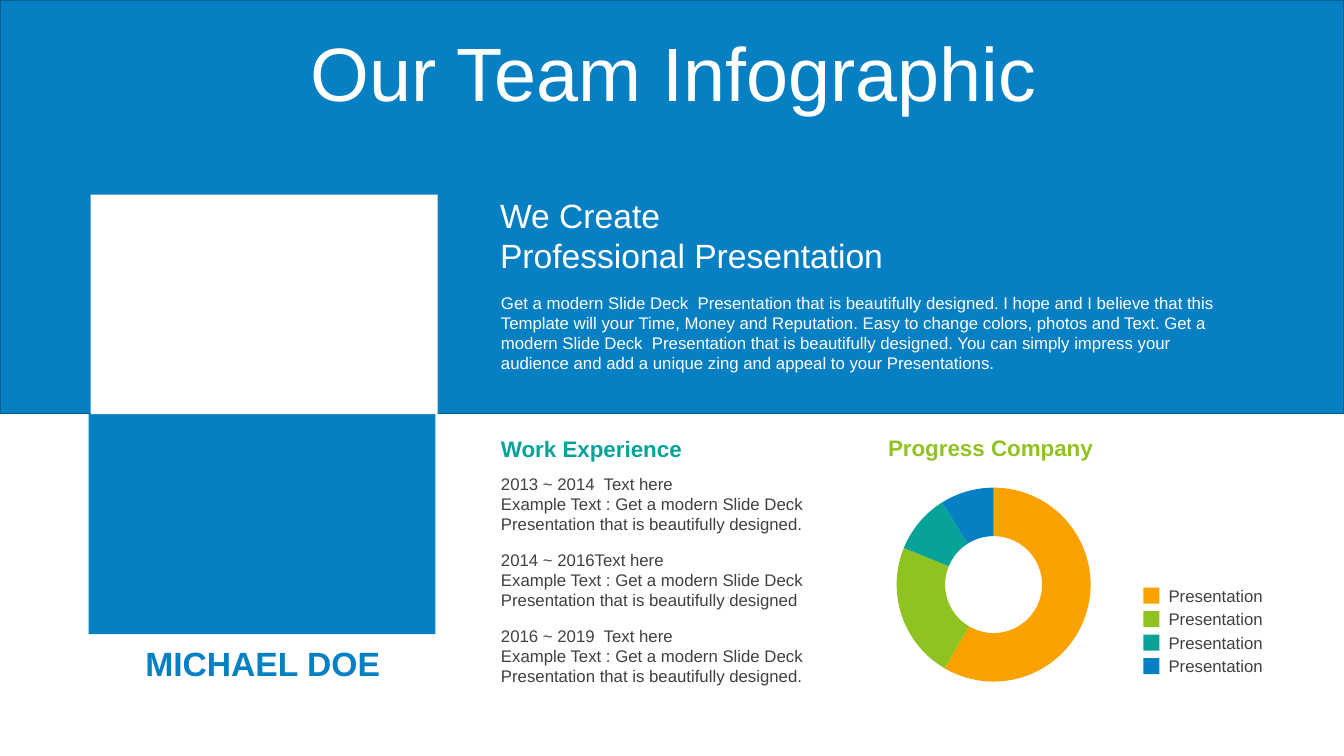
from pptx import Presentation
from pptx.chart.data import CategoryChartData
from pptx.dml.color import RGBColor
from pptx.enum.chart import XL_CHART_TYPE
from pptx.enum.shapes import MSO_SHAPE
from pptx.enum.text import MSO_ANCHOR, MSO_AUTO_SIZE, PP_ALIGN
from pptx.util import Inches, Pt

RECT = MSO_SHAPE.RECTANGLE
RING = XL_CHART_TYPE.DOUGHNUT
TOP, MIDDLE = MSO_ANCHOR.TOP, MSO_ANCHOR.MIDDLE
LEFT, CENTER = PP_ALIGN.LEFT, PP_ALIGN.CENTER
NO_FIT = MSO_AUTO_SIZE.NONE

BLUE, TEAL, GREEN, ORANGE = "0680C3", "07A398", "90C221", "FBA200"
WHITE, GREY, EDGE = "FFFFFF", "404040", "045F90"
rgb = RGBColor.from_string

prs = Presentation()
prs.slide_width, prs.slide_height = Inches(13.33), Inches(7.5)
slide = prs.slides.add_slide(prs.slide_layouts[5])
shapes = slide.shapes


def block(x, y, w, h, fill, line=None):
    box = shapes.add_shape(RECT, Inches(x), Inches(y), Inches(w), Inches(h))
    box.shadow.inherit = False
    box.fill.solid()
    box.fill.fore_color.rgb = rgb(fill)
    if line:
        box.line.color.rgb = rgb(line)
        box.line.width = Pt(1)
    else:
        box.line.fill.background()


def write(x, y, w, h, text, size, color, bold=False, align=LEFT, anchor=TOP,
          inset=(0.1, 0.05), tight=False, box=None):
    box = box or shapes.add_textbox(0, 0, 0, 0)
    box.left, box.top = Inches(x), Inches(y)
    box.width, box.height = Inches(w), Inches(h)
    frame = box.text_frame
    frame.text = text
    frame.word_wrap = True
    frame.auto_size = NO_FIT
    frame.vertical_anchor = anchor
    frame.margin_left = frame.margin_right = Inches(inset[0])
    frame.margin_top = frame.margin_bottom = Inches(inset[1])
    for para in frame.paragraphs:
        para.alignment = align
        if tight:
            para.line_spacing, para.space_before = 0.9, Pt(10)
        for run in para.runs:
            font = run.font
            font.name, font.size, font.bold = "Arial", Pt(size), bold
            font.color.rgb = rgb(color)


# Banner and photo frame
block(0.88, 4.1, 3.44, 2.19, BLUE)
block(0, 0, 13.33, 4.1, BLUE, EDGE)
block(0.9, 1.93, 3.44, 2.18, WHITE)

# Title, brought in front of the banner
title = shapes.title
title.element.getparent().append(title.element)
write(0.35, 0.37, 12.66, 0.79, "Our Team Infographic", 54, WHITE,
      align=CENTER, anchor=MIDDLE, tight=True, box=title)

# Introduction
write(4.91, 1.93, 5.82, 0.81, "We Create\nProfessional Presentation", 24, WHITE,
      inset=(0.05, 0))
intro = (
    "Get a modern Slide Deck  Presentation that is beautifully designed. "
    "I hope and I believe that this Template will your Time, Money and Reputation. "
    "Easy to change colors, photos and Text. "
    "Get a modern Slide Deck  Presentation that is beautifully designed. "
    "You can simply impress your audience and add a unique zing and appeal "
    "to your Presentations."
)
write(4.87, 2.85, 7.51, 0.91, intro, 12, WHITE)

# Name and headings
write(0.99, 6.37, 3.23, 0.47, "MICHAEL DOE", 24, BLUE, bold=True,
      align=CENTER, anchor=MIDDLE, tight=True)
write(4.87, 4.29, 2.76, 0.31, "Work Experience", 16, TEAL, bold=True, anchor=MIDDLE)
write(8.71, 4.29, 2.63, 0.31, "Progress Company", 16, GREEN, bold=True, tight=True)

# Work experience
sample = "Example Text : Get a modern Slide Deck  Presentation that is beautifully designed"
jobs = [("2013 ~ 2014  Text here", "."), ("2014 ~ 2016Text here", ""),
        ("2016 ~ 2019  Text here", ".")]
for i, (years, stop) in enumerate(jobs):
    write(4.87, 4.65 + i * 0.755, 3.48, 0.71, f"{years}\n{sample}{stop}", 12, GREY)

# Progress ring
data = CategoryChartData()
data.categories = ["1", "2", "3", "4"]
data.add_series("Series 1", (59, 23, 10, 9))
chart = shapes.add_chart(RING, Inches(8.64), Inches(4.7), Inches(2.43), Inches(2.2),
                         data).chart
chart.has_legend = chart.has_title = False
chart.font.name, chart.font.size = "Arial", Pt(18)
chart.font.color.rgb = rgb("000000")
plot = chart.plots[0]
plot.vary_by_categories = True

# Slice colours and their key
for i, color in enumerate((ORANGE, GREEN, TEAL, BLUE)):
    fill = plot.series[0].points[i].format.fill
    fill.solid()
    fill.fore_color.rgb = rgb(color)
    y = 5.83 + i * 0.233
    block(11.34, y, 0.16, 0.16, color)
    write(11.59, y - 0.07, 1.14, 0.3, "Presentation", 12, GREY, inset=(0, 0.05))

prs.save("out.pptx")
